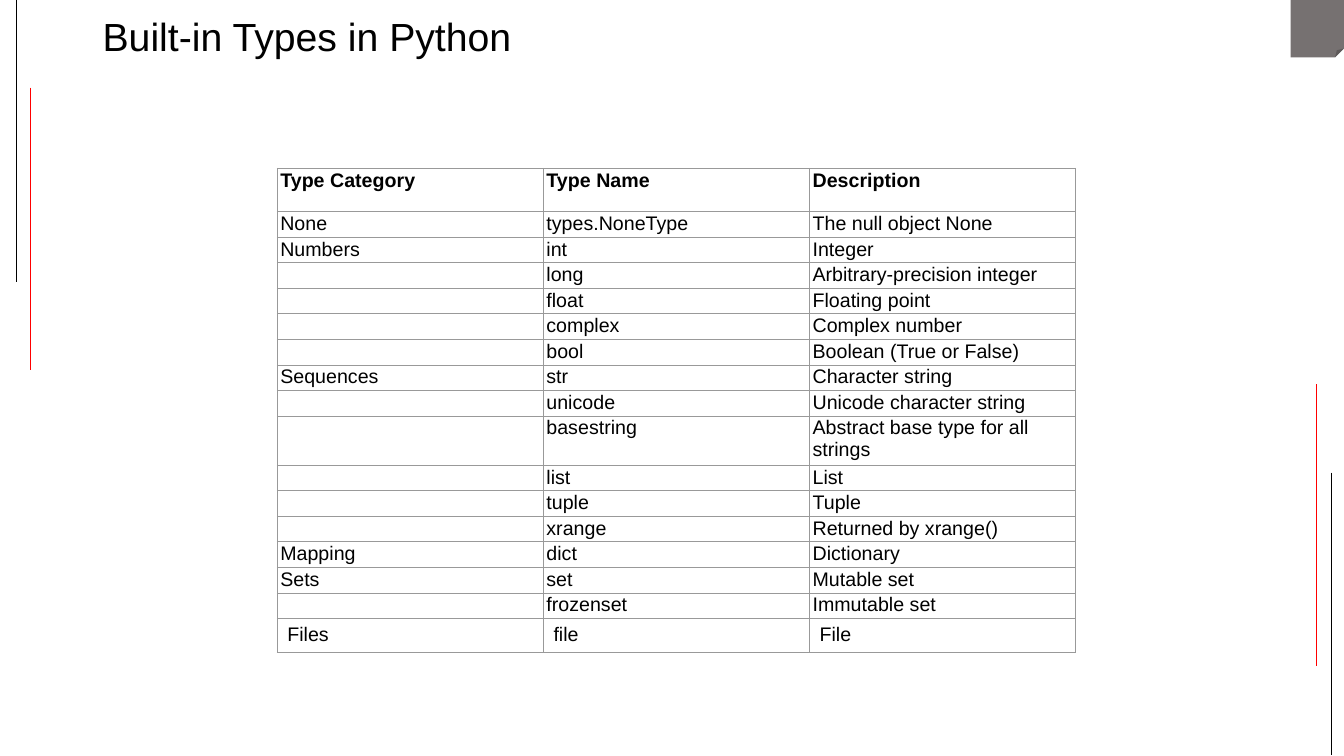
from dataclasses import dataclass

import lxml.etree
import pptx
import pptx.dml.color
import pptx.enum.shapes
import pptx.enum.text
import pptx.oxml.ns
import pptx.util
from pptx.util import Inches


@dataclass(frozen=True)
class Theme:
    font: str = "Arial"
    title_size: int = 28
    table_size: int = 14
    text: str = "000000"
    accent: str = "FF0000"
    corner: str = "767171"
    cell: str = "FFFFFF"
    border: str = "999999"
    border_width: float = 0.75
    rule_width: float = 0.5


THEME = Theme()

HEADER = ("Type Category", "Type Name", "Description")
TYPES = {
    "None": [("types.NoneType", "The null object None")],
    "Numbers": [
        ("int", "Integer"),
        ("long", "Arbitrary-precision integer"),
        ("float", "Floating point"),
        ("complex", "Complex number"),
        ("bool", "Boolean (True or False)"),
    ],
    "Sequences": [
        ("str", "Character string"),
        ("unicode", "Unicode character string"),
        ("basestring", "Abstract base type for all strings"),
        ("list", "List"),
        ("tuple", "Tuple"),
        ("xrange", "Returned by xrange()"),
    ],
    "Mapping": [("dict", "Dictionary")],
    "Sets": [("set", "Mutable set"), ("frozenset", "Immutable set")],
    "Files": [("file", "File")],
}

# x, top, colour of each vertical margin rule
RULE_LENGTH = 2.8
RULES = (
    (0.16, 0, THEME.text),
    (0.3, 0.87, THEME.accent),
    (13.2, 4.69, THEME.text),
    (13.06, 3.81, THEME.accent),
)


def rgb(value):
    return pptx.dml.color.RGBColor.from_string(value)


def add_element(parent, tag, **attributes):
    return lxml.etree.SubElement(parent, pptx.oxml.ns.qn(tag), **attributes)


def style_paragraph(paragraph, size, bold=False):
    font = paragraph.font
    font.name = THEME.font
    font.size = pptx.util.Pt(size)
    font.bold = bold
    font.color.rgb = rgb(THEME.text)


def add_corner(slide):
    corner = slide.shapes.add_shape(
        pptx.enum.shapes.MSO_SHAPE.FOLDED_CORNER,
        Inches(12.8), Inches(0), Inches(0.53), Inches(0.57))
    corner.shadow.inherit = False
    corner.fill.solid()
    corner.fill.fore_color.rgb = rgb(THEME.corner)
    corner.line.fill.background()


def add_rule(slide, x, top, color):
    rule = slide.shapes.add_connector(
        pptx.enum.shapes.MSO_CONNECTOR.STRAIGHT,
        Inches(x), Inches(top), Inches(x), Inches(top + RULE_LENGTH))
    rule.line.color.rgb = rgb(color)
    rule.line.width = pptx.util.Pt(THEME.rule_width)
    add_element(rule._element.spPr, "a:effectLst")


def add_title(slide, text):
    box = slide.shapes.add_textbox(
        Inches(0.92), Inches(0.13), Inches(11.54), Inches(0.98))
    frame = box.text_frame
    frame.word_wrap = True
    frame.vertical_anchor = pptx.enum.text.MSO_ANCHOR.TOP
    paragraph = frame.paragraphs[0]
    paragraph.text = text
    paragraph.line_spacing = 0.9
    style_paragraph(paragraph, THEME.title_size)


def add_borders(cell):
    properties = cell._tc.get_or_add_tcPr()
    width = str(pptx.util.Pt(THEME.border_width))
    for side in ("L", "R", "T", "B"):
        line = add_element(properties, f"a:ln{side}", w=width)
        fill = add_element(line, "a:solidFill")
        add_element(fill, "a:srgbClr", val=THEME.border)


def fill_cell(cell, text, bold, tight):
    if tight:
        cell.margin_left = cell.margin_right = Inches(0.03)
        cell.margin_top = cell.margin_bottom = Inches(0.01)
    add_borders(cell)
    cell.fill.solid()
    cell.fill.fore_color.rgb = rgb(THEME.cell)
    paragraph = cell.text_frame.paragraphs[0]
    if text:
        paragraph.text = text
    else:
        # An empty cell takes its line height from the end mark
        add_element(paragraph._p, "a:endParaRPr", sz=str(THEME.table_size * 100))
    style_paragraph(paragraph, THEME.table_size, bold)


def type_rows():
    """Header and type rows, naming each category only on its first row."""
    rows = [HEADER]
    for category, members in TYPES.items():
        for index, member in enumerate(members):
            rows.append((category if index == 0 else "", *member))
    return rows


def add_type_table(slide):
    rows = type_rows()
    header_height, row_height, column_width = 0.43, 0.21, 2.64
    table = slide.shapes.add_table(
        len(rows), len(HEADER), Inches(2.75), Inches(1.67),
        Inches(column_width * len(HEADER)),
        Inches(header_height + row_height * (len(rows) - 1))).table
    table.first_row = False
    table.horz_banding = False
    for column in table.columns:
        column.width = Inches(column_width)
    for row_index, values in enumerate(rows):
        is_header = row_index == 0
        is_last = row_index == len(rows) - 1
        table.rows[row_index].height = Inches(
            header_height if is_header else row_height)
        for column_index, text in enumerate(values):
            fill_cell(table.cell(row_index, column_index), text,
                      bold=is_header, tight=not is_last)


def main():
    presentation = pptx.Presentation()
    presentation.slide_width = Inches(13.33)
    presentation.slide_height = Inches(7.5)
    slide = presentation.slides.add_slide(presentation.slide_layouts[6])
    add_corner(slide)
    for x, top, color in RULES:
        add_rule(slide, x, top, color)
    add_title(slide, "Built-in Types in Python")
    add_type_table(slide)
    presentation.save("out.pptx")


if __name__ == "__main__":
    main()
